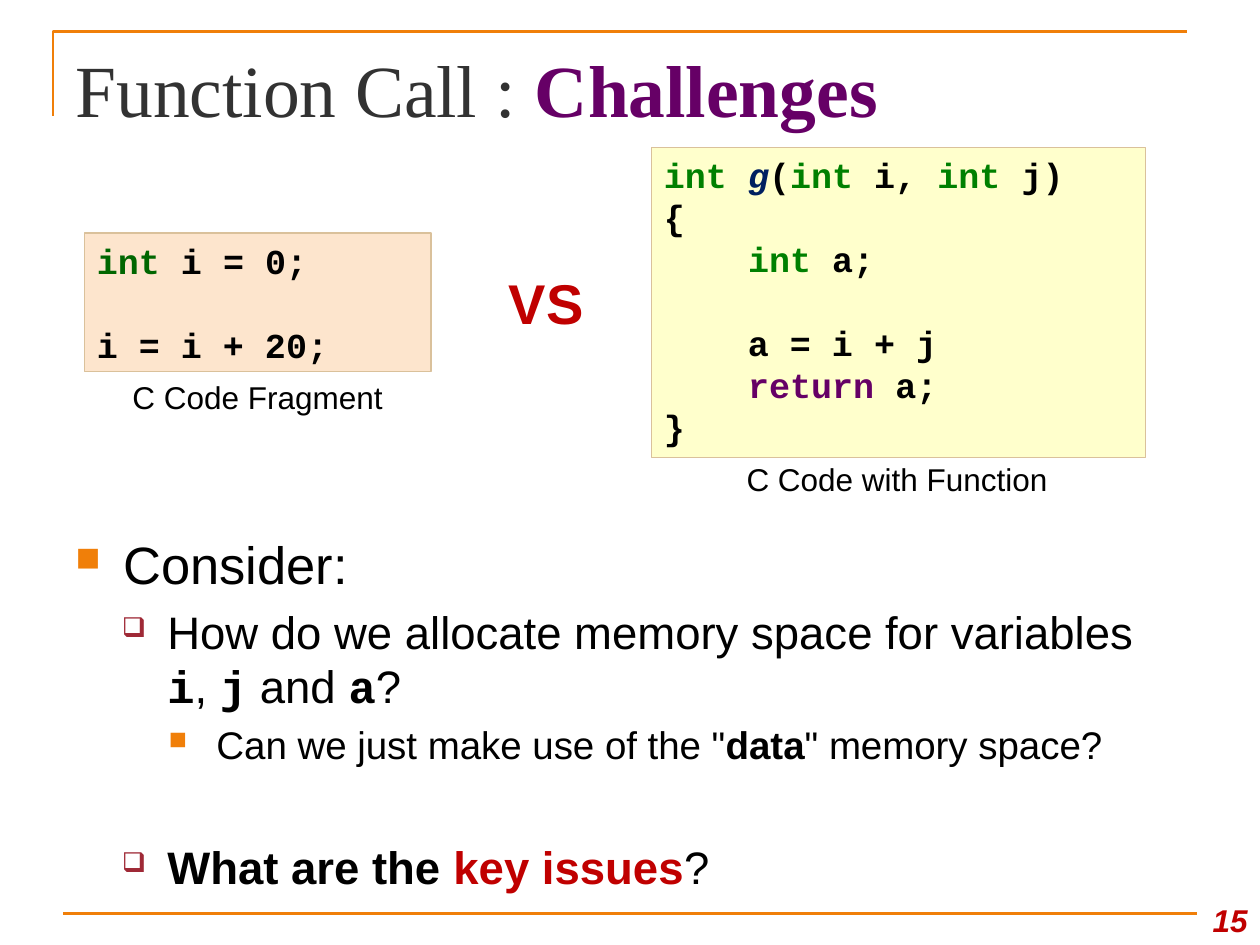
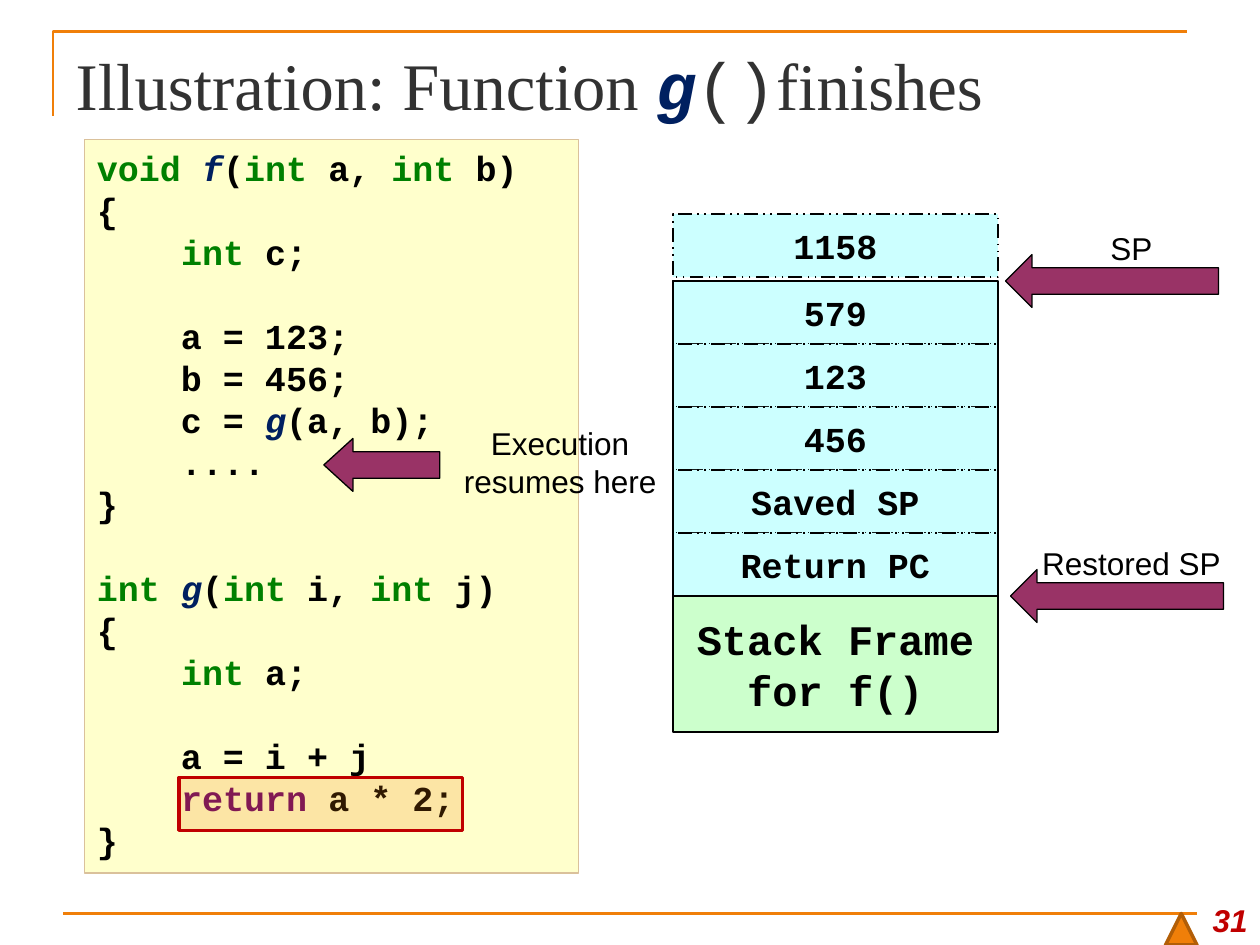
"""Build two lecture slides on function calls and the stack."""
from lxml import etree
from pptx import Presentation
from pptx.dml.color import RGBColor
from pptx.enum.dml import MSO_LINE
from pptx.enum.shapes import MSO_CONNECTOR, MSO_SHAPE
from pptx.enum.text import MSO_ANCHOR, PP_ALIGN
from pptx.oxml.ns import qn
from pptx.util import Inches, Pt

RECT, ARROW, TRIANGLE = MSO_SHAPE.RECTANGLE, MSO_SHAPE.LEFT_ARROW, MSO_SHAPE.ISOSCELES_TRIANGLE
LEFT, CENTER, RIGHT = PP_ALIGN.LEFT, PP_ALIGN.CENTER, PP_ALIGN.RIGHT
TOP, MIDDLE, BOTTOM = MSO_ANCHOR.TOP, MSO_ANCHOR.MIDDLE, MSO_ANCHOR.BOTTOM
DASH, STRAIGHT = MSO_LINE.DASH_DOT_DOT, MSO_CONNECTOR.STRAIGHT

ORANGE, RED, GREEN, PURPLE, NAVY = "F07F09", "C00000", "008000", "660066", "002060"
BLACK, GREY, CREAM, TAN, CYAN = "000000", "323232", "FFFFCC", "DAC19B", "CCFFFF"
SANS, MONO, SERIF = "Arial", "Courier New", "Times New Roman"

NAME = dict(color=NAVY, italic=True)
SYNTAX = {"int": dict(color=GREEN), "void": dict(color=GREEN),
          "return": dict(color=PURPLE), "f": NAME, "g": NAME}
CODE = dict(font=MONO, size=20, bold=True)
CAPTION = dict(size=18, align=CENTER, inset=0)


def write(shape, text, font=SANS, size=18, color=BLACK, bold=False, italic=False,
          align=LEFT, anchor=TOP, inset=0.1, before=0, styles=None):
    """Append lines of text; parts between bars take their own format from styles."""
    frame = shape.text_frame
    frame.word_wrap, frame.vertical_anchor = True, anchor
    frame.margin_left = frame.margin_right = Inches(inset)
    base = dict(font=font, color=color, bold=bold, italic=italic)
    for line in text.split("\n"):
        paragraph = frame.add_paragraph() if frame.text else frame.paragraphs[0]
        paragraph.alignment = align
        paragraph.line_spacing, paragraph.space_before = Pt(1.2 * size), Pt(before)
        for part in line.split("|"):
            look = {**base, **(styles or {}).get(part.strip(), {})}
            run = paragraph.add_run()
            run.text = part
            run.font.name, run.font.size = look["font"], Pt(size)
            run.font.bold, run.font.italic = look["bold"], look["italic"]
            run.font.color.rgb = RGBColor.from_string(look["color"])
    return paragraph


def draw(slide, kind, box, fill=None, line=BLACK, width=1.0, dash=None):
    """Add a preset shape, or a text box when kind is None."""
    box = [Inches(value) for value in box]
    if kind is None:
        return slide.shapes.add_textbox(*box)
    shape = slide.shapes.add_shape(kind, *box)
    shape.shadow.inherit = False
    if fill:
        shape.fill.solid()
        shape.fill.fore_color.rgb = RGBColor.from_string(fill)
    else:
        shape.fill.background()
    shape.line.color.rgb = RGBColor.from_string(line)
    shape.line.width = Pt(width)
    if dash:
        shape.line.dash_style = dash
    return shape


prs = Presentation()
prs.slide_width, prs.slide_height = Inches(10), Inches(7.5)

titles = [
    ("Function Call : |Challenges", 42, "15", {"Challenges": dict(color=PURPLE, bold=True)}),
    ("Illustration: Function |g|()|finishes", 38, "31",
     {"g": dict(font=MONO, color=NAVY, bold=True, italic=True), "()": dict(font=MONO)}),
]
for heading, size, number, styles in titles:
    slide = prs.slides.add_slide(prs.slide_layouts[5])
    title = slide.shapes.title
    title.left, title.top, title.width, title.height = map(Inches, (0.5, 0.3, 9, 0.78))
    write(title, heading, font=SERIF, size=size, color=GREY, styles=styles)

    outline = slide.shapes.build_freeform(Inches(0.42), Inches(0.92))
    outline.add_line_segments([(Inches(0.42), Inches(0.25)), (Inches(9.42), Inches(0.25))],
                              close=False)
    bracket = outline.convert_to_shape()
    bracket.shadow.inherit = False
    bracket.fill.background()
    footer_rule = slide.shapes.add_connector(
        STRAIGHT, Inches(0.5), Inches(7.25), Inches(9.5), Inches(7.25))
    for rule in (bracket, footer_rule):
        rule.line.color.rgb = RGBColor.from_string(ORANGE)
        rule.line.width = Pt(1.5)
    etree.SubElement(footer_rule._element.spPr, qn("a:effectLst"))

    page = draw(slide, None, (9.42, 7, 0.58, 0.5))
    write(page, number, color=RED, bold=True, italic=True, align=RIGHT, anchor=BOTTOM)

challenges, finish = prs.slides

fragment = draw(challenges, RECT, (0.67, 1.85, 2.75, 1.1), "FDE5CD", TAN, 0.75)
write(fragment, "int| i = 0;\n\ni = i + 20;", **CODE, styles={"int": dict(color="006600")})
function = draw(challenges, RECT, (5.17, 1.17, 3.92, 2.46), CREAM, TAN, 0.75)
write(function, """int |g|(|int| i, |int| j)
{
    |int| a;

    a = i + j
    |return| a;
}""", **CODE, styles=SYNTAX)
write(draw(challenges, None, (0.67, 2.95, 2.75, 0.4)), "C Code Fragment", **CAPTION)
write(draw(challenges, None, (5.16, 3.6, 3.92, 0.4)), "C Code with Function", **CAPTION)
write(draw(challenges, None, (3.75, 2.08, 1.17, 0.64)), "VS",
      size=32, color=RED, bold=True, align=CENTER)

levels = [(30, 0.38, 0.38, "■", ORANGE, 65),
          (26, 0.73, 0.36, "❑", "9F2936", 60),
          (22, 1.12, 0.38, "■", ORANGE, 65)]
variable = dict(font=MONO, bold=True)
emphasis = {"i": variable, "j": variable, "a": variable, "data": dict(bold=True),
            "What are the": dict(bold=True), "key issues": dict(bold=True, color=RED)}
points = [
    (0, 0, "Consider:"),
    (1, 5.2, "How do we allocate memory space for variables |i|, |j| and |a|?"),
    (2, 4.4, 'Can we just make use of the "|data|" memory space?'),
    (1, 41, "What are the |key issues|?"),
]
questions = draw(challenges, None, (0.5, 4.17, 9, 2.92))
for level, before, text in points:
    size, margin, hanging, mark, color, percent = levels[level]
    paragraph = write(questions, text, size=size, before=before, styles=emphasis)
    paragraph.level = level
    properties = paragraph._p.get_or_add_pPr()
    properties.set("marL", str(Inches(margin)))
    properties.set("indent", str(-Inches(hanging)))
    bullet_color = etree.SubElement(properties, qn("a:buClr"))
    etree.SubElement(bullet_color, qn("a:srgbClr"), val=color)
    etree.SubElement(properties, qn("a:buSzPct"), val=str(percent * 1000))
    etree.SubElement(properties, qn("a:buChar"), char=mark)

listing = draw(finish, RECT, (0.67, 1.11, 3.92, 5.82), CREAM, TAN, 0.75)
write(listing, """void |f|(|int| a, |int| b)
{
    |int| c;

    a = 123;
    b = 456;
    c = |g|(a, b);
    ....
}

int |g|(|int| i, |int| j)
{
    |int| a;

    a = i + j
    |return| a * 2;
}""", **CODE, styles=SYNTAX)

stack_left, stack_top, stack_width, row = 5.34, 2.23, 2.58, 0.5
released = draw(finish, RECT, (stack_left, 1.7, stack_width, row), CYAN, dash=DASH)
write(released, "1158", **CODE, align=CENTER, anchor=MIDDLE)
for index, value in enumerate(["579", "123", "456", "Saved SP", "Return PC"]):
    slot = draw(finish, RECT, (stack_left, stack_top + index * row, stack_width, row),
                CYAN, dash=DASH)
    write(slot, value, **CODE, align=CENTER, anchor=MIDDLE)
caller = draw(finish, RECT, (stack_left, stack_top + 5 * row, stack_width, 1.08), "CCFFCC", width=1.5)
write(caller, "Stack Frame\nfor f()", font=MONO, size=24, bold=True, align=CENTER, anchor=MIDDLE)
draw(finish, RECT, (stack_left, stack_top, stack_width, 5 * row), width=1.5)

pointers = [
    ("SP", (7.98, 2.02, 1.69, 0.42), 0.5, (8.21, 1.77, 1.54, 0.4)),
    ("Restored SP", (8.02, 4.52, 1.69, 0.42), 0.5, (8.17, 4.27, 1.62, 0.4)),
    ("Execution resumes here", (2.57, 3.48, 0.92, 0.42), 0.55, (3.57, 3.32, 1.75, 0.7)),
]
for label, arrow_box, head, label_box in pointers:
    arrow = draw(finish, ARROW, arrow_box, "993366", width=0.75)
    arrow.adjustments[1] = head
    write(draw(finish, None, label_box), label, **CAPTION)

returning = draw(finish, RECT, (1.42, 6.17, 2.25, 0.42), ORANGE, RED, 2)
tint = returning._element.spPr.find(qn("a:solidFill"))[0]
etree.SubElement(tint, qn("a:alpha"), val="20000")
draw(finish, TRIANGLE, (9.25, 7.25, 0.25, 0.25), ORANGE, "B25E07", 2)

prs.save("out.pptx")
